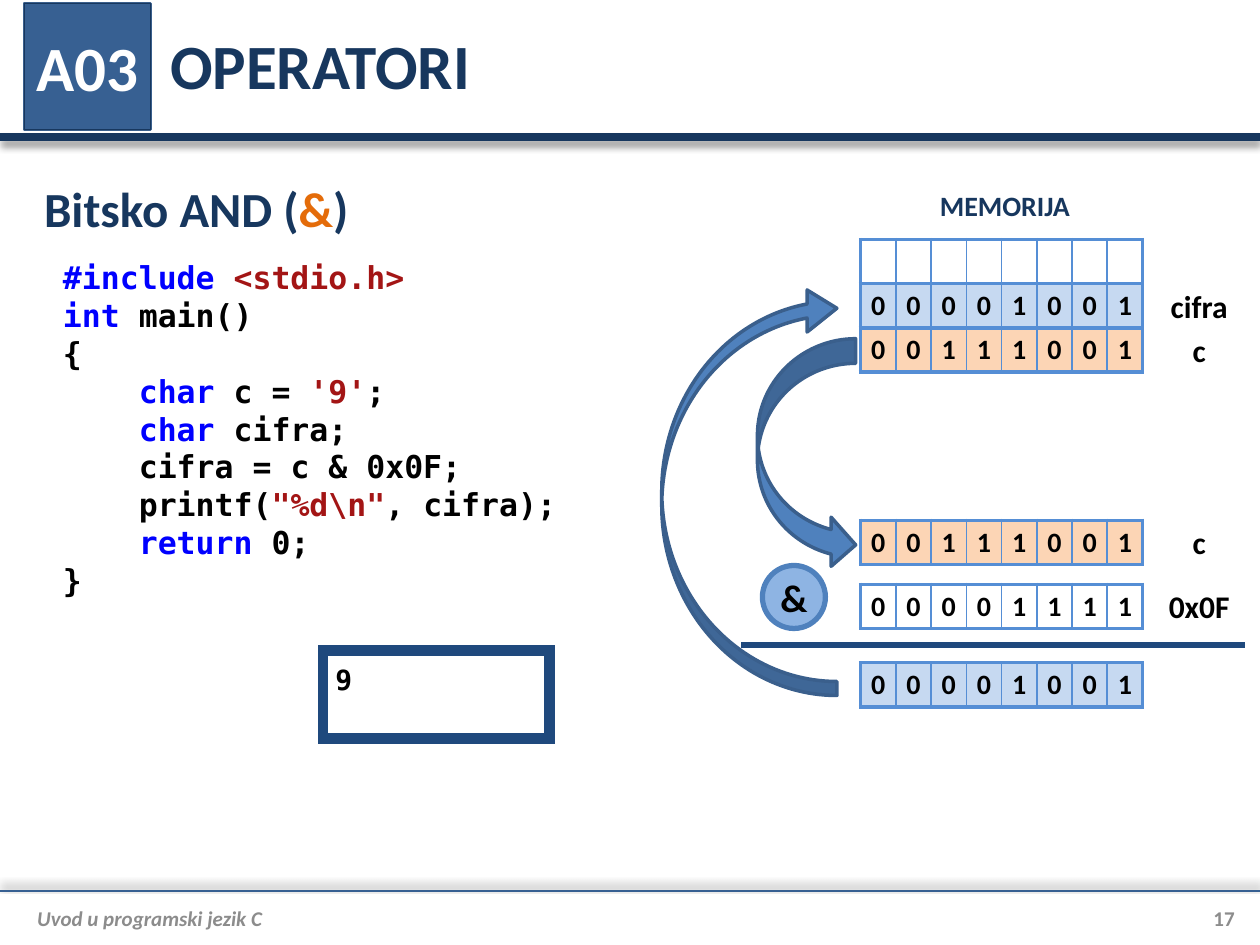
import lxml.etree
import pptx
import pptx.dml.color
import pptx.enum.shapes
import pptx.enum.text
import pptx.oxml
import pptx.oxml.ns
import pptx.util

Cm, Pt = pptx.util.Cm, pptx.util.Pt
SHAPE = pptx.enum.shapes.MSO_SHAPE
ANCHOR = pptx.enum.text.MSO_ANCHOR
ALIGN = pptx.enum.text.PP_ALIGN
NS = pptx.oxml.ns.nsdecls("a")
qn = pptx.oxml.ns.qn

SLIDE_W, SLIDE_H = 25.4, 19.05
NAVY, BLUE, RULE = "17375E", "376092", "1F497D"
ARROW_FILL, ARROW_LINE, GRID = "4F81BD", "3A5F8C", "558ED5"
PEACH, SKY, WHITE, BLACK, GREY = "FCD5B5", "C6D9F1", "FFFFFF", "000000", "8C8C8C"
KEYWORD, LITERAL, ORANGE = "0000FF", "A31515", "E46C0A"
MONO = "DejaVu Sans Mono"
PLAIN_TABLE = "{2D5ABB26-0587-4C30-8999-92F81FD0307C}"
BIT_W, BIT_H = 0.71, 0.89
EMPTY, C_BITS, CIFRA_BITS, MASK_BITS = " " * 8, "00111001", "00001001", "00001111"
NO_INSETS = (0, 0, 0, 0)

CODE = [
    [("#include", KEYWORD), " ", ("<stdio.h>", LITERAL)],
    [("int", KEYWORD), " main()"],
    ["{"],
    [("    char", KEYWORD), " c = ", ("'9'", LITERAL), ";"],
    [("    char", KEYWORD), " cifra;"],
    ["    cifra = c & 0x0F;"],
    ["    printf(", ("\"%d\\n\"", LITERAL), ", cifra);"],
    [("    return", KEYWORD), " 0;"],
    ["}"],
]


def rgb(value):
    return pptx.dml.color.RGBColor.from_string(value)


def write(tf, text, size=18, color=BLACK, font="Calibri", italic=False,
          align=ALIGN.LEFT, anchor=ANCHOR.MIDDLE, insets=(0.25, 0.13, 0.25, 0.13)):
    """Fill a text frame with a string, or with lines of strings and (string, colour) pairs."""
    tf.word_wrap = True
    tf.vertical_anchor = anchor
    tf.margin_left, tf.margin_top, tf.margin_right, tf.margin_bottom = map(Cm, insets)
    lines = [[text]] if isinstance(text, str) else text
    for i, line in enumerate(lines):
        p = tf.paragraphs[0] if i == 0 else tf.add_paragraph()
        p.alignment = align
        for part in line:
            content, run_color = (part, color) if isinstance(part, str) else part
            r = p.add_run()
            r.text = content
            r.font.size, r.font.name = Pt(size), font
            r.font.bold, r.font.italic = True, italic
            r.font.color.rgb = rgb(run_color)


def add_text(slide, x, y, w, h, text, **fmt):
    sp = slide.shapes.add_textbox(Cm(x), Cm(y), Cm(w), Cm(h))
    write(sp.text_frame, text, **fmt)


def add_shape(slide, kind, x, y, w, h, fill, line, weight):
    sp = slide.shapes.add_shape(kind, Cm(x), Cm(y), Cm(w), Cm(h))
    sp.shadow.inherit = False
    sp.fill.solid()
    sp.fill.fore_color.rgb = rgb(fill)
    sp.line.color.rgb = rgb(line)
    sp.line.width = Pt(weight)
    return sp


def add_rule(slide, x, y, w, color, weight, shadow_angle=None):
    """Draw a horizontal line, with a soft shadow if an angle in degrees is given."""
    cxn = slide.shapes.add_connector(
        pptx.enum.shapes.MSO_CONNECTOR.STRAIGHT, Cm(x), Cm(y), Cm(x + w), Cm(y))
    cxn.line.color.rgb = rgb(color)
    cxn.line.width = Pt(weight)
    shadow = "" if shadow_angle is None else (
        f'<a:outerShdw blurRad="{Pt(4)}" dist="{Pt(3)}" dir="{shadow_angle * 60000}" rotWithShape="0">'
        '<a:srgbClr val="000000"><a:alpha val="40000"/></a:srgbClr></a:outerShdw>')
    cxn._element.spPr.append(
        pptx.oxml.parse_xml(f"<a:effectLst {NS}>{shadow}</a:effectLst>"))


def set_borders(cell, first, last):
    """Give a cell thick outer edges and thin edges between neighbouring bits."""
    weights = {"L": 2.25 if first else 1, "R": 2.25 if last else 1, "T": 2.25, "B": 2.25}
    for i, (side, weight) in enumerate(weights.items()):
        cell._tc.get_or_add_tcPr().insert(i, pptx.oxml.parse_xml(
            f'<a:ln{side} {NS} w="{Pt(weight)}"><a:solidFill><a:srgbClr val="{GRID}"/>'
            f"</a:solidFill></a:ln{side}>"))


def bit_table(slide, x, y, bits, fill=None, rows=1, grid=True):
    """Draw equal rows of bits; a blank stands for an empty bit."""
    n = len(bits)
    table = slide.shapes.add_table(
        rows, n, Cm(x), Cm(y), Cm(n * BIT_W), Cm(rows * BIT_H)).table
    table.first_row = table.horz_banding = False
    table._tbl.tblPr.find(qn("a:tableStyleId")).text = PLAIN_TABLE
    for column in table.columns:
        column.width = Cm(BIT_W)
    for row in table.rows:
        row.height = Cm(BIT_H)
        for c, (cell, bit) in enumerate(zip(row.cells, bits)):
            cell.margin_left = cell.margin_right = cell.margin_top = cell.margin_bottom = 0
            cell.vertical_anchor = ANCHOR.MIDDLE
            if fill:
                cell.fill.solid()
                cell.fill.fore_color.rgb = rgb(fill)
            else:
                cell.fill.background()
            if grid:
                set_borders(cell, c == 0, c == n - 1)
            if bit.strip():
                p = cell.text_frame.paragraphs[0]
                p.alignment = ALIGN.CENTER
                r = p.add_run()
                r.text = bit
                r.font.size, r.font.name, r.font.bold = Pt(16), "Calibri", True
                r.font.color.rgb = rgb(BLACK)


def header(slide, x, y, w):
    add_rule(slide, x, y + 2.77, w, NAVY, 4.5, 90)
    badge_box = (x + 0.5, y + 0.07, 2.54, 2.54)
    add_shape(slide, SHAPE.RECTANGLE, *badge_box, ARROW_FILL, ARROW_LINE, 2)
    add_text(slide, x + 3.18, y + 0.03, w - 3.68, 2.54, "OPERATORI", size=36, color=NAVY)
    badge = add_shape(slide, SHAPE.RECTANGLE, *badge_box, BLUE, NAVY, 0.75)
    write(badge.text_frame, "A03", size=36, color=WHITE, align=ALIGN.CENTER, insets=NO_INSETS)


def footer(slide, x, y, w):
    add_rule(slide, x, y, w, BLUE, 1.5, 270)
    add_text(slide, x + 0.5, y + 0.1, 23.11, 0.89, "Uvod u programski jezik C",
             size=12, color=GREY, italic=True, insets=(0.25, 0, 0, 0))
    add_text(slide, x + w - 1.78, y + 0.1, 1.27, 0.89, "17",
             size=12, color=GREY, align=ALIGN.RIGHT, insets=NO_INSETS)


def code_panel(slide, x, y):
    add_text(slide, x, y, 22.53, 1.27, [["Bitsko AND (", ("&", ORANGE), ")"]],
             size=28, color=NAVY)
    add_text(slide, x + 0.38, y + 1.52, 12.7, 7.19, CODE, font=MONO, anchor=ANCHOR.TOP)
    console = add_shape(slide, SHAPE.RECTANGLE, x + 5.87, y + 9.55, 4.57, 1.78, WHITE, RULE, 6)
    lxml.etree.SubElement(console.line._get_or_add_ln(), qn("a:miter"), lim="800000")
    write(console.text_frame, "9", size=16, font=MONO, anchor=ANCHOR.TOP, insets=(0.25,) * 4)


def memory_panel(slide, x, y):
    bits_x, memory_y, c_y, mask_y, result_y = x + 4.01, y + 1.15, y + 6.81, y + 8.1, y + 9.68
    cifra_cell_y, c_cell_y = memory_y + BIT_H, memory_y + 2 * BIT_H
    add_text(slide, x + 5.03, y, 3.78, 0.94, "MEMORIJA", size=16, color=NAVY,
             align=ALIGN.CENTER, anchor=ANCHOR.TOP)
    bit_table(slide, bits_x, memory_y, EMPTY, rows=3)
    for cell_y, bits, fill in [(c_cell_y, C_BITS, PEACH), (cifra_cell_y, CIFRA_BITS, SKY)]:
        bit_table(slide, bits_x, cell_y, EMPTY, fill)
        bit_table(slide, bits_x, cell_y, bits, grid=False)
    bit_table(slide, bits_x, c_y, C_BITS, PEACH)
    add_shape(slide, SHAPE.CURVED_RIGHT_ARROW, x + 1.93, y + 3.15, 1.98, 4.65,
              ARROW_FILL, ARROW_LINE, 2)
    operator = add_shape(slide, SHAPE.OVAL, x + 2.03, y + 7.72, 1.27, 1.27,
                         "8EB4E3", ARROW_FILL, 3)
    write(operator.text_frame, "&", size=22, align=ALIGN.CENTER, insets=NO_INSETS)
    bit_table(slide, bits_x, mask_y, MASK_BITS)
    add_rule(slide, x + 1.6, y + 9.32, 10.16, RULE, 3)
    for label, label_y in [("c", c_cell_y), ("cifra", cifra_cell_y),
                           ("c", c_y), ("0x0F", mask_y)]:
        add_text(slide, x + 9.82, label_y, 2.03, BIT_H, label, align=ALIGN.CENTER)
    bit_table(slide, bits_x, result_y, CIFRA_BITS, SKY)
    store = add_shape(slide, SHAPE.CURVED_LEFT_ARROW, x, y + 2.11, 3.53, 8.23,
                      ARROW_FILL, ARROW_LINE, 2)
    store.rotation = 180
    for i, value in enumerate((0.08, 0.24, 0.17)):
        store.adjustments[i] = value


def main():
    prs = pptx.Presentation()
    prs.slide_width, prs.slide_height = Cm(SLIDE_W), Cm(SLIDE_H)
    slide = prs.slides.add_slide(prs.slide_layouts[6])
    header(slide, 0, 0, SLIDE_W)
    footer(slide, 0, 17.96, SLIDE_W)
    code_panel(slide, 0.64, 3.56)
    memory_panel(slide, 13.34, 3.68)
    prs.save("out.pptx")


if __name__ == "__main__":
    main()
